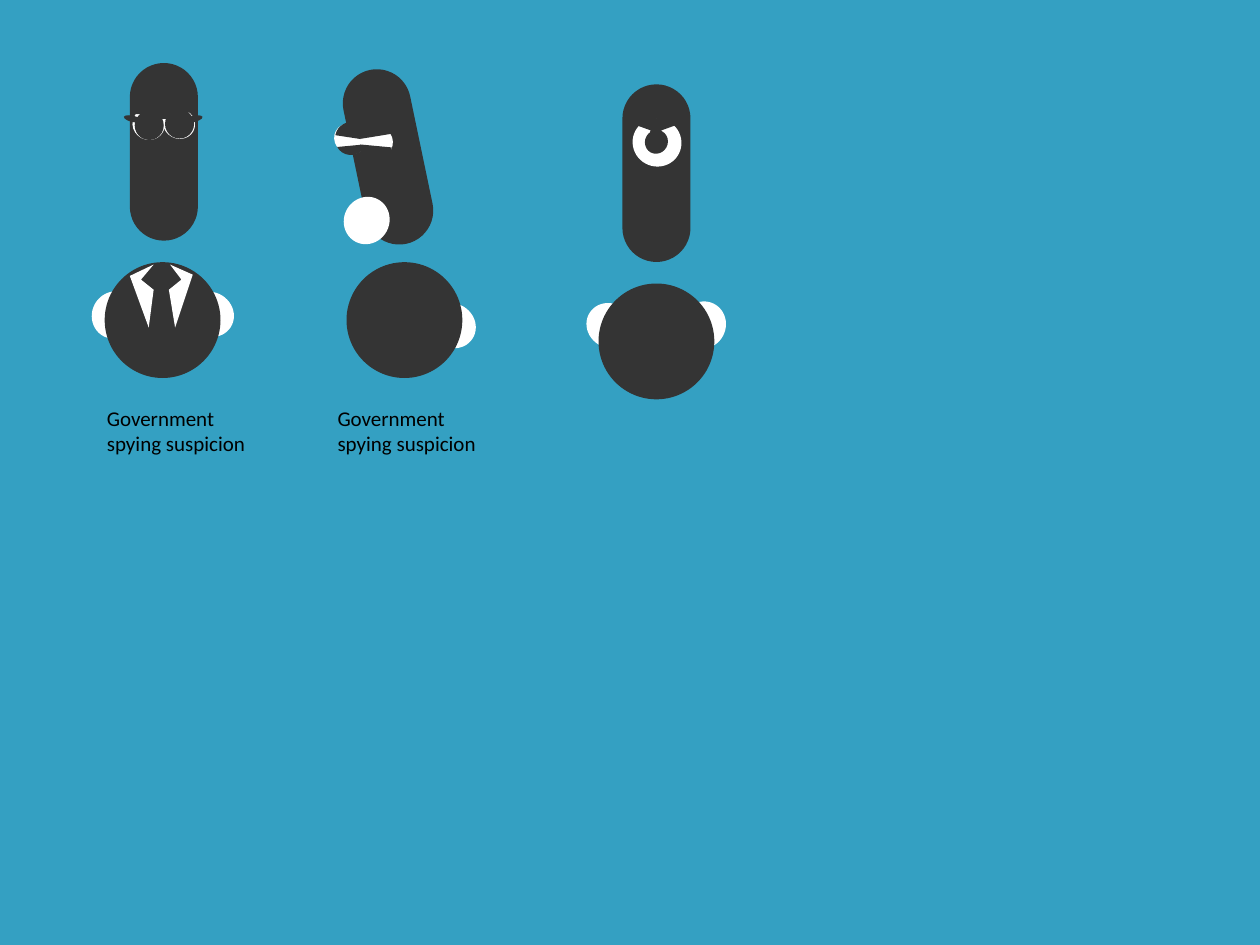
import dataclasses
import pptx
import pptx.util
import pptx.dml.color
import pptx.enum.shapes
import pptx.enum.text

Pt = pptx.util.Pt
KIND = pptx.enum.shapes.MSO_SHAPE


@dataclasses.dataclass(frozen=True)
class Theme:
    back: str = "34A0C2"
    dark: str = "343434"
    light: str = "FFFFFF"
    ink: str = "000000"
    font: str = "Calibri"
    size: float = 12


THEME = Theme()


def color(code):
    return pptx.dml.color.RGBColor.from_string(code)


def paint(shape, code):
    shape.fill.solid()
    shape.fill.fore_color.rgb = color(code)
    shape.line.fill.background()
    shape.shadow.inherit = False


def block(slide, kind, box, code, turn=0, adjust=()):
    shape = slide.shapes.add_shape(kind, *map(Pt, box))
    shape.rotation = turn
    for i, value in enumerate(adjust):
        shape.adjustments[i] = value
    paint(shape, code)


def oval(slide, box, code, turn=0):
    block(slide, KIND.OVAL, box, code, turn)


def lid(slide, box, turn, end=133.46):
    block(slide, KIND.CHORD, box, THEME.dark, turn, (27, end))


def wide_hand(slide, left, top):
    oval(slide, (left, top, 27.4, 25.2), THEME.light, 32.7)


def tall_hand(slide, left, top):
    oval(slide, (left, top, 25.9, 27.4), THEME.light, 208.2)


def head(slide, left, top, turn=0):
    block(slide, KIND.ROUNDED_RECTANGLE, (left, top, 38.9, 101.5), THEME.dark, turn, (0.5,))


def body(slide, left, top):
    oval(slide, (left, top, 66.2, 66.2), THEME.dark)


def lapel(slide, points):
    first, *rest = [(Pt(x), Pt(y)) for x, y in points]
    pen = slide.shapes.build_freeform(*first, scale=1.0)
    pen.add_line_segments(rest, close=True)
    paint(pen.convert_to_shape(), THEME.light)


def label(slide, left, text):
    box = slide.shapes.add_textbox(Pt(left), Pt(228.2), Pt(95.8), Pt(36))
    frame = box.text_frame
    frame.word_wrap = True
    frame.auto_size = pptx.enum.text.MSO_AUTO_SIZE.SHAPE_TO_FIT_TEXT
    frame.text = text
    font = frame.paragraphs[0].runs[0].font
    font.name = THEME.font
    font.size = Pt(THEME.size)
    font.color.rgb = color(THEME.ink)


def agent(slide):
    tall_hand(slide, 52.6, 166.3)
    wide_hand(slide, 106.6, 167)
    head(slide, 74.2, 36)
    body(slide, 59.8, 149.8)
    oval(slide, (75.6, 61.9, 18.7, 18), THEME.light, 208.2)
    oval(slide, (92.9, 61.9, 18.7, 17.3), THEME.light, 208.2)
    lid(slide, (92.9, 56.2, 18, 18), 130.1)
    lid(slide, (76.3, 56.9, 18, 18), 140.6)
    lapel(slide, [(87.8, 151.2), (80.6, 159.8), (87.8, 165.6), (85, 187.2), (74.2, 157.7)])
    lapel(slide, [(97.2, 151.2), (103.7, 159.8), (96.5, 165.6), (100.1, 187.2), (110.2, 157)])
    for left, top in ((77, 63.4), (94.3, 62.6)):
        oval(slide, (left, top, 16.6, 16.6), THEME.dark)
    block(slide, KIND.BLOCK_ARC, (87.8, 64.8, 12.2, 12.2), THEME.dark)
    for left, turn in ((70.6, 13), (105.1, 347.1)):
        oval(slide, (left, 66.2, 10.8, 3.6), THEME.dark, turn)


def leaner(slide):
    wide_hand(slide, 244.8, 173.5)
    head(slide, 202.3, 38.9, 348.2)
    body(slide, 198, 149.8)
    oval(slide, (190.8, 70.6, 18.7, 17.3), THEME.light, 208.2)
    lid(slide, (191.5, 69.8, 18, 18), 145)
    tall_hand(slide, 196.6, 112.3)
    lid(slide, (191.5, 70.6, 18, 18), 333.7, 106.11)
    oval(slide, (205.9, 72, 18.7, 18), THEME.light, 208.2)
    lid(slide, (205.9, 69.1, 18, 18), 127.1)
    lid(slide, (205.9, 74.2, 18, 18), 321.7)


def watcher(slide):
    tall_hand(slide, 388.8, 172.1)
    wide_hand(slide, 334.8, 173.5)
    head(slide, 355.7, 48.2)
    body(slide, 342, 162)
    oval(slide, (361.4, 67.7, 28.1, 27.4), THEME.light, 208.2)
    lid(slide, (360.7, 65.5, 17.3, 16.6), 156)
    oval(slide, (368.6, 74.2, 13, 13.7), THEME.dark, 208.2)
    lid(slide, (367.2, 67, 24.5, 14.4), 116.3)


def main():
    deck = pptx.Presentation()
    deck.slide_width, deck.slide_height = Pt(720), Pt(540)
    slide = deck.slides.add_slide(deck.slide_layouts[6])
    slide.background.fill.solid()
    slide.background.fill.fore_color.rgb = color(THEME.back)
    agent(slide)
    leaner(slide)
    watcher(slide)
    for left in (54, 185.8):
        label(slide, left, "Government spying suspicion")
    deck.save("out.pptx")


if __name__ == "__main__":
    main()
